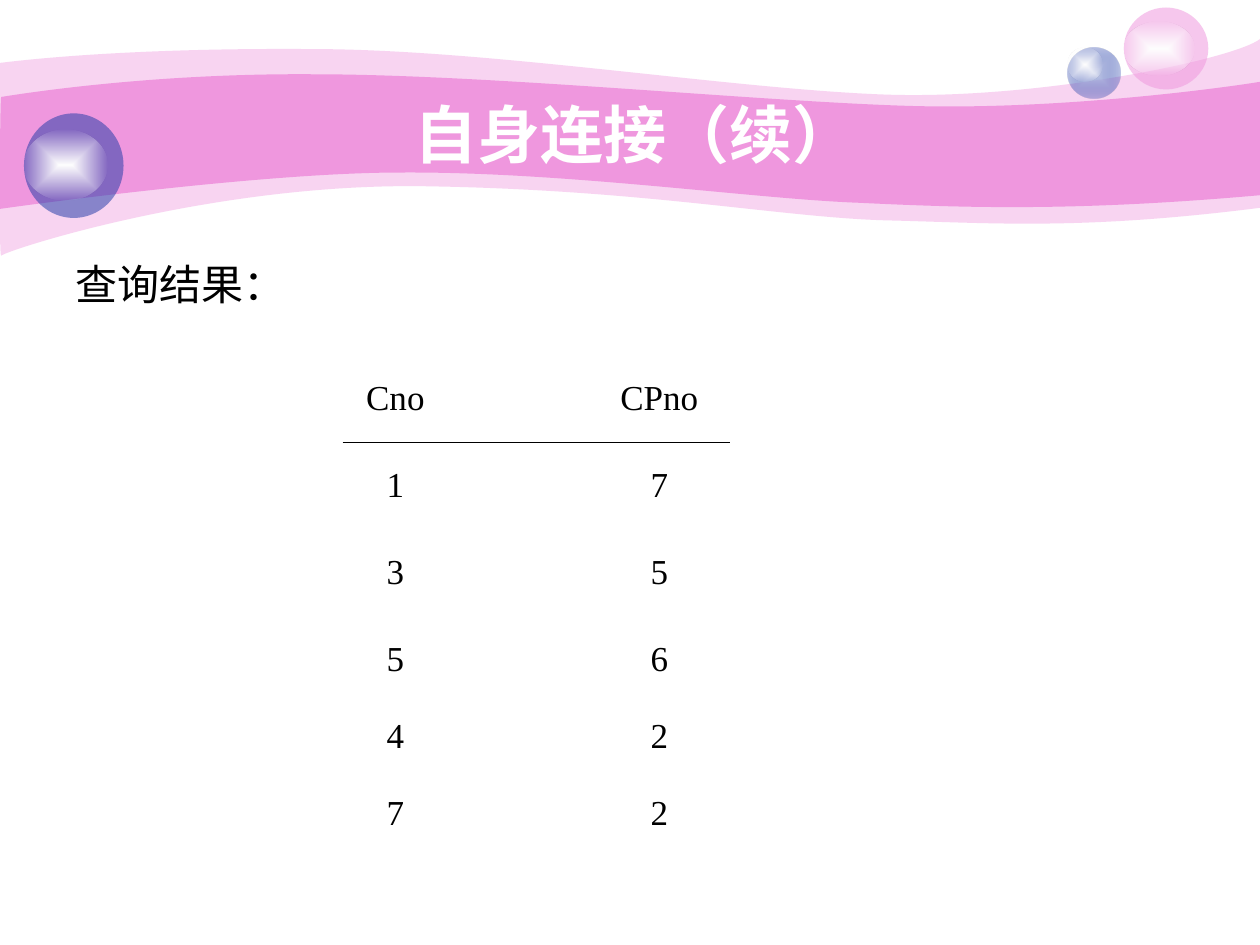
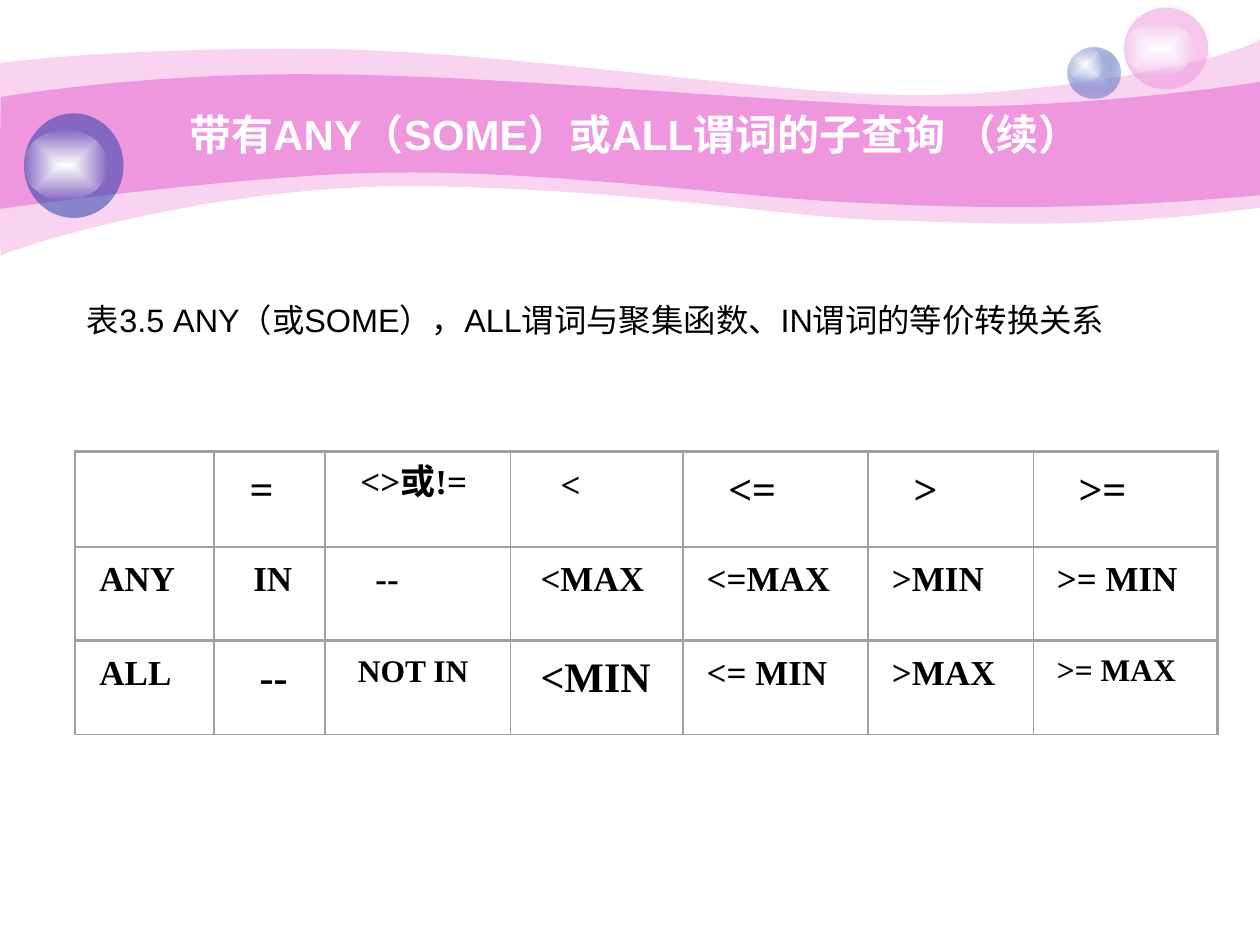
from itertools import accumulate

from lxml import etree
from pptx import Presentation
from pptx.dml.color import RGBColor
from pptx.enum.shapes import MSO_CONNECTOR, MSO_SHAPE
from pptx.enum.text import MSO_ANCHOR, MSO_AUTO_SIZE, PP_ALIGN
from pptx.oxml import parse_xml
from pptx.oxml.ns import nsdecls, qn
from pptx.util import Inches, Pt

PINK = RGBColor(0xEF, 0x97, 0xDE)
BLUE = RGBColor(0x23, 0x3D, 0xA9)
PALE_BLUE = RGBColor(0xC7, 0xCE, 0xE9)
WHITE = RGBColor(0xFF, 0xFF, 0xFF)
BLACK = RGBColor(0x00, 0x00, 0x00)
GREY = RGBColor(0xA0, 0xA0, 0xA0)
SANS, SERIF = "Arial", "Times New Roman"
OVAL, RECT = MSO_SHAPE.OVAL, MSO_SHAPE.RECTANGLE
STRAIGHT = MSO_CONNECTOR.STRAIGHT
LEFT, CENTER = PP_ALIGN.LEFT, PP_ALIGN.CENTER
TOP, MIDDLE = MSO_ANCHOR.TOP, MSO_ANCHOR.MIDDLE
NO_AUTOFIT = MSO_AUTO_SIZE.NONE


def write(tf, text, size, font=SANS, color=BLACK, bold=False, align=LEFT, gap=0):
    """Put each line of text in its own paragraph, gap points apart."""
    for i, line in enumerate(text.split("\n")):
        p = tf.paragraphs[0] if i == 0 else tf.add_paragraph()
        pPr = p._p.get_or_add_pPr()
        pPr.set("marL", "0")
        pPr.set("indent", "0")
        etree.SubElement(pPr, qn("a:buNone"))
        p.alignment = align
        p.space_before = Pt(gap if i else 0)
        r = p.add_run()
        r.text = line
        r.font.name, r.font.size = font, Pt(size)
        r.font.bold, r.font.color.rgb = bold, color


def paint(sp, stops):
    """Fill with one (colour, opacity %) pair, or with a gradient from the centre."""
    sp.shadow.inherit = False
    sp.line.fill.background()
    sp.fill.solid()
    colors = [f'<a:srgbClr val="{c}"><a:alpha val="{a * 1000}"/></a:srgbClr>'
              for c, a in stops]
    if len(colors) == 1:
        xml = f'<a:solidFill {nsdecls("a")}>{colors[0]}</a:solidFill>'
    else:
        xml = (f'<a:gradFill {nsdecls("a")}><a:gsLst><a:gs pos="0">{colors[0]}</a:gs>'
               f'<a:gs pos="100000">{colors[1]}</a:gs></a:gsLst><a:path path="rect">'
               '<a:fillToRect l="50000" t="50000" r="50000" b="50000"/></a:path>'
               '</a:gradFill>')
    spPr = sp.element.spPr
    spPr.replace(spPr.find(qn("a:solidFill")), parse_xml(xml))


prs = Presentation()
prs.slide_width, prs.slide_height = Inches(10), Inches(7.5)
layout = prs.slide_layouts[1]
for ph in list(layout.placeholders):
    if ph.placeholder_format.idx >= 10:
        ph.element.getparent().remove(ph.element)

# Slides with their titles and lead lines
PAGES = [
    ("自身连接（续）", 36, "查询结果：", 24, (0.5, 2, 4.42, 0.65)),
    ("带有ANY（SOME）或ALL谓词的子查询 （续）", 24,
     "表3.5 ANY（或SOME），ALL谓词与聚集函数、IN谓词的等价转换关系", 18.5,
     (0.59, 2.33, 9, 0.61)),
]
slides = []
for title, title_size, lead, lead_size, lead_box in PAGES:
    s = prs.slides.add_slide(layout)
    slides.append(s)
    head, body = s.shapes.title, s.placeholders[1]
    for sp, box, anchor in ((head, (1, 0.75, 8.08, 0.62), MIDDLE),
                            (body, lead_box, TOP)):
        sp.left, sp.top, sp.width, sp.height = map(Inches, box)
        sp.text_frame.auto_size = NO_AUTOFIT
        sp.text_frame.vertical_anchor = anchor
    write(head.text_frame, title, title_size, color=WHITE, bold=True, align=CENTER)
    write(body.text_frame, lead, lead_size)

# Wavy bands: a start, then cubic curves (two handles and an end);
# a segment with a single point is a straight edge
BANDS = [
    (41, (0, 0.5), [
        [(0.24, 0.47), (1.07, 0.38), (2.47, 0.39)],
        [(3.86, 0.39), (5.75, 0.7), (6.99, 0.75)],
        [(8.22, 0.8), (9.8, 0.47), (10, 0.31)],
        [(10, 1.65)],
        [(8.58, 1.83), (7.87, 1.77), (7.05, 1.75)],
        [(6.22, 1.73), (5.15, 1.51), (3.43, 1.48)],
        [(1.72, 1.44), (0.04, 1.99), (0.01, 2.03)],
        [(-0.01, 2.08), (0, 0.75), (0, 0.5)]]),
    (100, (0.01, 0.77), [
        [(0.02, 0.77), (1.1, 0.58), (2.48, 0.59)],
        [(3.86, 0.59), (5.95, 0.8), (7.18, 0.84)],
        [(8.41, 0.88), (9.76, 0.69), (10, 0.65)],
        [(10, 1.55)],
        [(8.53, 1.68), (7.65, 1.65), (6.82, 1.61)],
        [(5.99, 1.58), (4.47, 1.36), (3.17, 1.37)],
        [(2.03, 1.37), (-0.02, 1.66), (-0.01, 1.66)],
        [(0, 1.66), (0, 0.77), (0.01, 0.77)]]),
]
shapes = slides[0].shapes
decor = []
for opacity, start, segments in BANDS:
    builder = shapes.build_freeform(Inches(start[0]), Inches(start[1]))
    builder.add_line_segments([(Inches(x), Inches(y))
                               for segment in segments for x, y in segment], close=True)
    sp = builder.convert_to_shape()
    # Join each pair of handles and its end into one curve
    edges = iter(list(sp.element.iter(qn("a:lnTo"))))
    for segment in segments:
        group = [next(edges) for _ in segment]
        if len(group) == 3:
            curve = etree.Element(qn("a:cubicBezTo"))
            group[0].addprevious(curve)
            for edge in group:
                curve.append(edge[0])
                edge.getparent().remove(edge)
    paint(sp, [(PINK, opacity)])
    decor.append(sp)

# Glass balls, each with a highlight
SHINE = [(WHITE, 100), (WHITE, 0)]
BALLS = [
    ((8.47, 0.38, 0.42, 0.4), [(PALE_BLUE, 100), (BLUE, 31)]),
    ((8.47, 0.38, 0.28, 0.27), SHINE),
    ((8.92, 0.06, 0.67, 0.65), [(PINK, 53)]),
    ((8.92, 0.17, 0.56, 0.43), SHINE),
    ((0.19, 0.9, 0.79, 0.83), [(BLUE, 53)]),
    ((0.19, 1.03, 0.66, 0.56), SHINE),
]
for box, stops in BALLS:
    sp = shapes.add_shape(OVAL, *map(Inches, box))
    paint(sp, stops)
    decor.append(sp)

# The decoration belongs to the layout, behind its placeholders
for i, sp in enumerate(decor):
    layout.shapes.element.insert(2 + i, sp.element)

# Slide 1: query result
RESULT = [("Cno", "CPno"), ("1", "7"), ("3", "5"), ("5\n4\n7", "6\n2\n2")]
table = shapes.add_table(4, 2, Inches(2.09), Inches(2.96),
                         Inches(4.19), Inches(3.84)).table
table.first_row = table.horz_banding = False
for row, height, values in zip(table.rows, (0.69, 0.69, 0.69, 1.77), RESULT):
    row.height = Inches(height)
    for cell, value in zip(row.cells, values):
        cell.fill.background()
        write(cell.text_frame, value, 20, font=SERIF, align=CENTER, gap=22)

rule = shapes.add_connector(STRAIGHT, Inches(2.72), Inches(3.51),
                            Inches(5.79), Inches(3.51))
rule.line.color.rgb, rule.line.width = BLACK, Pt(0.75)
etree.SubElement(rule.element.spPr, qn("a:effectLst"))

# Slide 2: grid of equivalences, each entry as text, size and left inset
WIDTHS = (1.1, 0.88, 1.47, 1.37, 1.47, 1.31, 1.46)
LEFTS = list(accumulate(WIDTHS, initial=0.6))
TOPS = (3.59, 4.34, 5.08)
ROW_H = 0.75
PAD = 0.1
INSETS_TOP = {"<>或!=": 0.06, "NOT IN": 0.09}
EQUIVALENTS = [
    [("", 20, PAD), ("=", 24, 0.19), ("<>或!=", 20, 0.19), ("<", 20, 0.31),
     ("<=", 24, 0.27), (">", 24, 0.27), (">=", 24, 0.27)],
    [("ANY", 20, PAD), ("IN", 20, 0.22), ("--", 20, 0.31), ("<MAX", 20, 0.15),
     ("<=MAX", 20, PAD), (">MIN", 20, PAD), (">= MIN", 20, PAD)],
    [("ALL", 20, PAD), ("--", 24, 0.27), ("NOT IN", 18, 0.17), ("<MIN", 24, 0.15),
     ("<= MIN", 20, PAD), (">MAX", 20, PAD), (">= MAX", 18, PAD)],
]
shapes = slides[1].shapes
frames = []
for top, entries in zip(TOPS, EQUIVALENTS):
    for left, width, (text, size, inset) in zip(LEFTS, WIDTHS, entries):
        if text:
            box = shapes.add_textbox(Inches(left + 0.09), Inches(top),
                                     Inches(width - 0.19),
                                     Inches(0.5 if size == 24 else 0.44))
            tf = box.text_frame
            tf.word_wrap = True
            tf.margin_left, tf.margin_right = Inches(inset), Inches(0.05)
            tf.margin_top = Inches(INSETS_TOP.get(text, 0.08))
            tf.margin_bottom = 0
            write(tf, text, size, font=SERIF, bold=True)
        sp = shapes.add_shape(RECT, Inches(left), Inches(top),
                              Inches(width), Inches(ROW_H))
        frames.append((sp, 0))
frames.append((shapes.add_shape(RECT, Inches(0.59), Inches(3.58),
                                Inches(9.08), Inches(2.25)), 0.88))
for sp, weight in frames:
    sp.shadow.inherit = False
    sp.fill.background()
    sp.line.color.rgb, sp.line.width = GREY, Pt(weight)

prs.save("out.pptx")
